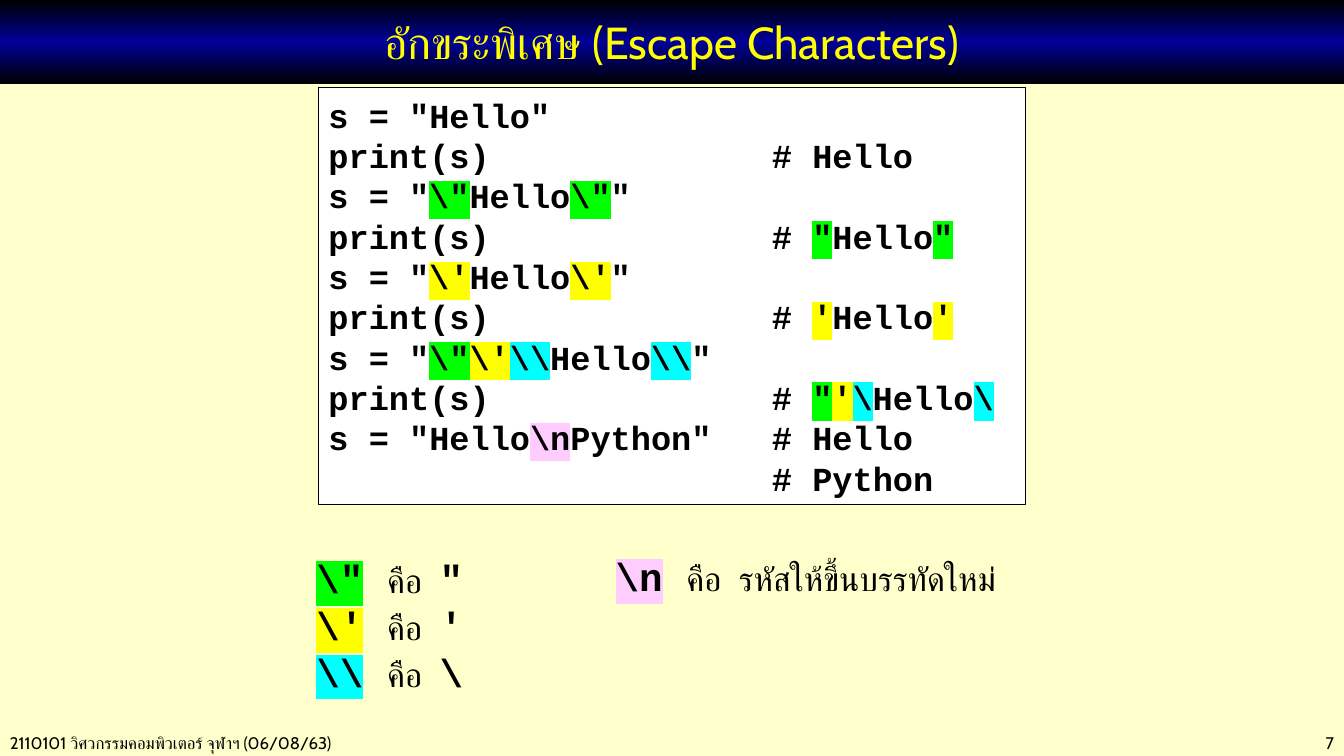
from copy import deepcopy

from lxml.etree import SubElement
from pptx import Presentation
from pptx.dml.color import RGBColor
from pptx.enum.shapes import MSO_SHAPE as Shape
from pptx.enum.text import MSO_ANCHOR as Anchor, PP_ALIGN as Align
from pptx.oxml import parse_xml
from pptx.oxml.ns import nsdecls, qn
from pptx.util import Pt

WIDTH, HEIGHT = 960, 540
SANS, MONO = "Cabin", "Courier New"
GREEN, YELLOW, CYAN, PINK = "00FF00", "FFFF00", "00FFFF", "FFCCFF"

DOUBLE = (r'\"', GREEN)
SINGLE = (r"\'", YELLOW)
BACKSLASH = (r"\\", CYAN)
NEWLINE = (r"\n", PINK)
DOUBLE_SHOWN = ('"', GREEN)
SINGLE_SHOWN = ("'", YELLOW)
BACKSLASH_SHOWN = ("\\", CYAN)

START, PRINT = 's = "', "print(s)\t# "
CODE = [
    [START, 'Hello"'],
    [PRINT, "Hello"],
    [START, DOUBLE, "Hello", DOUBLE, '"'],
    [PRINT, DOUBLE_SHOWN, "Hello", DOUBLE_SHOWN],
    [START, SINGLE, "Hello", SINGLE, '"'],
    [PRINT, SINGLE_SHOWN, "Hello", SINGLE_SHOWN],
    [START, DOUBLE, SINGLE, BACKSLASH, "Hello", BACKSLASH, '"'],
    [PRINT, DOUBLE_SHOWN, SINGLE_SHOWN, BACKSLASH_SHOWN, "Hello", BACKSLASH_SHOWN],
    [START, "Hello", NEWLINE, 'Python"\t# Hello'],
    ["\t# Python"],
]


def color(value):
    return RGBColor.from_string(value)


def add_run(paragraph, text, size=24, font=SANS, fill="000000", bold=False, highlight=None):
    run = paragraph.add_run()
    run.text = text
    run.font.size = Pt(size)
    run.font.bold = bold
    run.font.color.rgb = color(fill)
    run.font.name = font
    properties = run.font._element
    if highlight:
        properties.find(qn("a:latin")).addprevious(parse_xml(
            f'<a:highlight {nsdecls("a")}><a:srgbClr val="{highlight}"/></a:highlight>'))
    SubElement(properties, qn("a:cs"), typeface=font)


def write_text(shape, lines, align=Align.LEFT, anchor=Anchor.TOP, spacing=None,
               tabs=(), inset_top=3.6, **run_format):
    frame = shape.text_frame
    frame.word_wrap = True
    frame.vertical_anchor = anchor
    frame.margin_top = Pt(inset_top)
    for index, line in enumerate(lines):
        paragraph = frame.paragraphs[0] if index == 0 else frame.add_paragraph()
        paragraph.alignment = align
        if spacing:
            paragraph.line_spacing = Pt(spacing)
        if tabs:
            tab_list = SubElement(paragraph._p.get_or_add_pPr(), qn("a:tabLst"))
            for position in tabs:
                SubElement(tab_list, qn("a:tab"), pos=str(Pt(position)), algn="l")
        for text, changes in line:
            add_run(paragraph, text, **{**run_format, **changes})


def add_box(slide, left, top, width, height):
    shape = slide.shapes.add_shape(Shape.RECTANGLE, Pt(left), Pt(top), Pt(width), Pt(height))
    shape.shadow.inherit = False
    return shape


def add_label(slide, left, top, width, height, lines, **text_format):
    label = slide.shapes.add_textbox(Pt(left), Pt(top), Pt(width), Pt(height))
    write_text(label, lines, **text_format)


def add_title(slide, left, top, width, height):
    banner = add_box(slide, left, top, width, height)
    banner.line.fill.background()
    banner.fill.gradient()
    banner.fill.gradient_angle = 270
    stop_list = banner._element.spPr.find(qn("a:gradFill")).find(qn("a:gsLst"))
    stop_list.append(deepcopy(stop_list[0]))
    stops = [(0, "000000"), (0.5, "000099"), (1, "000000")]
    for stop, (position, value) in zip(banner.fill.gradient_stops, stops):
        stop.position = position
        stop.color.rgb = color(value)
    write_text(banner, [[("อักขระพิเศษ (Escape Characters)", {})]],
               align=Align.CENTER, anchor=Anchor.MIDDLE, size=32, fill="FFFF00")


def add_code(slide, left, top, width, height):
    panel = add_box(slide, left, top, width, height)
    panel.fill.solid()
    panel.fill.fore_color.rgb = color("FFFFFF")
    panel.line.color.rgb = color("000000")
    panel.line.width = Pt(0.75)
    lines = [[(piece, {}) if isinstance(piece, str) else (piece[0], {"highlight": piece[1]})
              for piece in line] for line in CODE]
    write_text(panel, lines, anchor=Anchor.MIDDLE, spacing=28.8, tabs=[316.8],
               font=MONO, bold=True)


def add_legend(slide, left, top, width, height, entries):
    code_format = {"font": MONO, "size": 28, "bold": True}
    lines = [[(text, {**code_format, "highlight": shade}), ("\tคือ\t", {}),
              (meaning, code_format if meaning.isascii() else {})]
             for (text, shade), meaning in entries]
    add_label(slide, left, top, width, height, lines,
              spacing=33.5, tabs=[50.4, 88], inset_top=6.8)


def add_footer(slide, left, top, width, height):
    number_width = 132
    add_label(slide, left, top, 374, height,
              [[("2110101 วิศวกรรมคอมพิวเตอร์ จุฬาฯ (06/08/63)", {})]], size=12)
    add_label(slide, left + width - number_width, top, number_width, height,
              [[("7", {})]], align=Align.RIGHT, size=12)


def main():
    presentation = Presentation()
    presentation.slide_width = Pt(WIDTH)
    presentation.slide_height = Pt(HEIGHT)
    slide = presentation.slides.add_slide(presentation.slide_layouts[6])
    slide.background.fill.solid()
    slide.background.fill.fore_color.rgb = color("FFFFCC")
    add_footer(slide, 0, 520, WIDTH, 21.6)
    add_title(slide, 0, 0, WIDTH, 60)
    add_code(slide, 227.5, 62.6, 505, 298)
    add_legend(slide, 219, 389.5, 133, 109,
               [(DOUBLE, '"'), (SINGLE, "'"), (BACKSLASH, "\\")])
    add_legend(slide, 432.7, 388, 317.5, 41, [(NEWLINE, "รหัสให้ขึ้นบรรทัดใหม่")])
    presentation.save("out.pptx")


if __name__ == "__main__":
    main()
